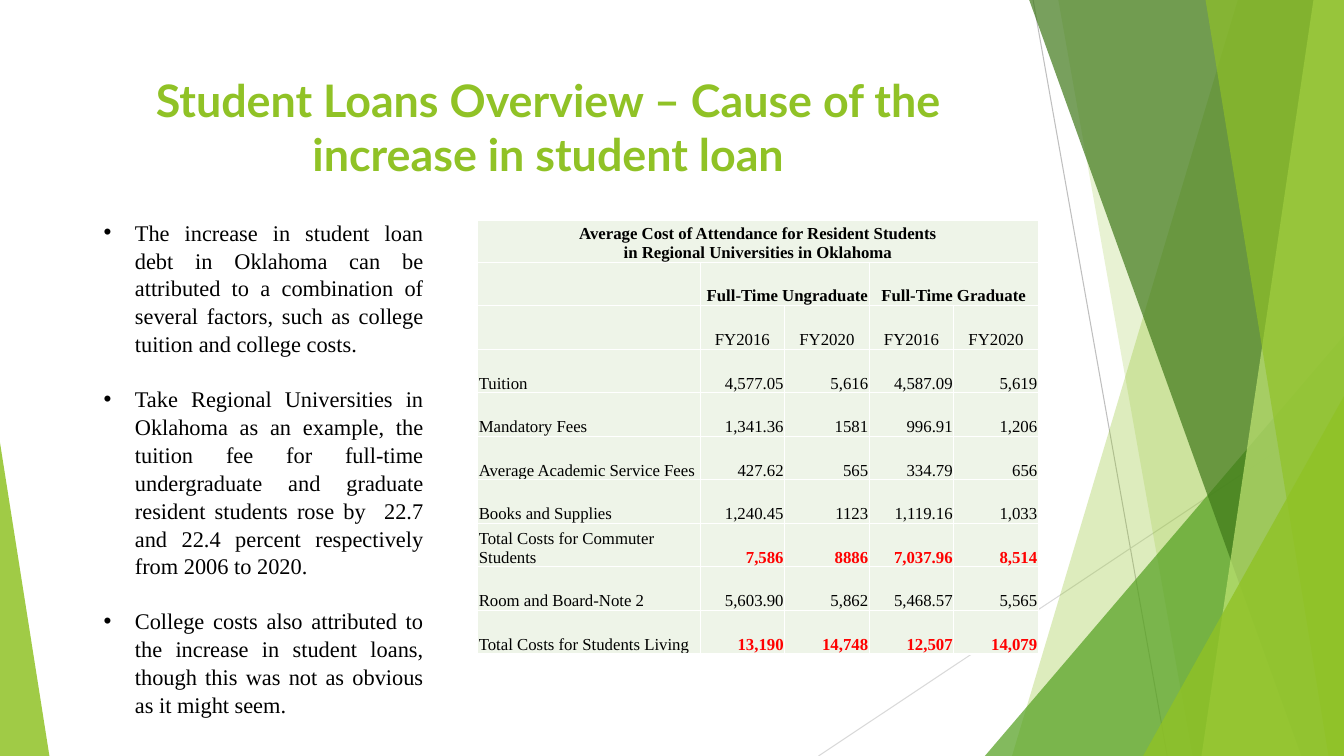
from dataclasses import dataclass

from lxml import etree
from pptx import Presentation, util as u
from pptx.dml.color import RGBColor
from pptx.enum import shapes, text
from pptx.oxml import ns

GREEN = RGBColor(0x90, 0xC2, 0x26)
MID_GREEN = RGBColor(0x54, 0xA0, 0x21)
DARK_GREEN = RGBColor(0x3F, 0x78, 0x19)
LIGHT_GREEN = RGBColor(0xC0, 0xE4, 0x74)
CELL_GREEN = RGBColor(0xEE, 0xF4, 0xE8)
GREY = RGBColor(0xBF, 0xBF, 0xBF)
PALE_GREY = RGBColor(0xD9, 0xD9, 0xD9)
BLACK = RGBColor(0, 0, 0)
RED = RGBColor(0xFF, 0, 0)
SERIF = "Times New Roman"
LEFT, CENTER, RIGHT, JUSTIFY = (text.PP_ALIGN.LEFT, text.PP_ALIGN.CENTER,
                                text.PP_ALIGN.RIGHT, text.PP_ALIGN.JUSTIFY)

# The slide is a grid of 100 columns and 100 rows.
WIDTH, HEIGHT = u.Inches(13.333), u.Inches(7.5)


def col(n: float) -> int:
    return round(WIDTH * n / 100)


def row(n: float) -> int:
    return round(HEIGHT * n / 100)


@dataclass
class Ray:
    start: tuple[float, float]
    end: tuple[float, float]
    color: RGBColor


@dataclass
class Shard:
    """Full-height facet reaching the right edge of the slide."""
    top: float
    foot: float
    color: RGBColor
    opacity: int


@dataclass
class Peak:
    """Right triangle standing on the bottom edge; lean 1 puts its apex right."""
    left: float
    top: float
    width: float
    lean: int
    color: RGBColor
    opacity: int


RAYS = [Ray((76.87, 0), (86.85, 100), GREY),
        Ray((100, 53.73), (60.9, 100), PALE_GREY)]
FACETS = [
    Shard(92.1, 75.3, GREEN, 30),
    Shard(78.75, 88.73, GREEN, 20),
    Peak(73.28, 44.4, 26.72, 1, MID_GREEN, 72),
    Shard(76.58, 96.83, DARK_GREEN, 70),
    Shard(97.73, 89.4, LIGHT_GREEN, 70),
    Shard(89.7, 98.85, GREEN, 65),
    Peak(85.05, 52.4, 14.95, 1, GREEN, 80),
    Peak(0, 58.53, 3.68, 0, GREEN, 85),
]
TITLE = "Student Loans Overview – Cause of the increase in student loan"
CAUSES = [
    "The increase in student loan debt in Oklahoma can be attributed to a "
    "combination of several factors, such as college tuition and college costs.",
    "Take Regional Universities in Oklahoma as an example, the tuition fee for "
    "full-time undergraduate and graduate resident students rose by  22.7 and "
    "22.4 percent respectively from 2006 to 2020.",
    "College costs also attributed to the increase in student loans, though "
    "this was not as obvious as it might seem.",
]
COSTS = [
    ["Average Cost of Attendance for Resident Students\n"
     "in Regional Universities in Oklahoma", "", "", "", ""],
    ["", "Full-Time Ungraduate", "", "Full-Time Graduate", ""],
    ["", "FY2016", "FY2020", "FY2016", "FY2020"],
    ["Tuition", "4,577.05", "5,616", "4,587.09", "5,619"],
    ["Mandatory Fees", "1,341.36", "1581", "996.91", "1,206"],
    ["Average Academic Service Fees", "427.62", "565", "334.79", "656"],
    ["Books and Supplies", "1,240.45", "1123", "1,119.16", "1,033"],
    ["Total Costs for Commuter Students", "7,586", "8886", "7,037.96", "8,514"],
    ["Room and Board-Note 2", "5,603.90", "5,862", "5,468.57", "5,565"],
    ["Total Costs for Students Living", "13,190", "14,748", "12,507", "14,079"],
]
COLUMN_WIDTHS = [16.55] + [6.29] * 4
ROW_HEIGHTS = [5.47] + [5.76] * 9


def draw_ray(slide, ray: Ray) -> None:
    (x1, y1), (x2, y2) = ray.start, ray.end
    line = slide.shapes.add_connector(shapes.MSO_CONNECTOR.STRAIGHT,
                                      col(x1), row(y1), col(x2), row(y2))
    line.line.color.rgb = ray.color
    line.line.width = u.Pt(0.75)
    etree.SubElement(line._element.spPr, ns.qn("a:effectLst"))


def draw_facet(slide, facet: Shard | Peak) -> None:
    if isinstance(facet, Shard):
        pen = slide.shapes.build_freeform(col(facet.top), 0)
        pen.add_line_segments([(col(100), 0), (col(100), row(100)),
                               (col(facet.foot), row(100))])
        sp = pen.convert_to_shape()
    else:
        sp = slide.shapes.add_shape(
            shapes.MSO_SHAPE.ISOSCELES_TRIANGLE, col(facet.left), row(facet.top),
            col(facet.width), row(100 - facet.top))
        sp.adjustments[0] = facet.lean
    sp.shadow.inherit = False
    sp.line.fill.background()
    sp.fill.solid()
    sp.fill.fore_color.rgb = facet.color
    srgb = sp._element.spPr.find(".//" + ns.qn("a:srgbClr"))
    etree.SubElement(srgb, ns.qn("a:alpha"), val=str(facet.opacity * 1000))


def style(p, font: str, size: float, color: RGBColor, align, bold=False) -> None:
    p.alignment = align
    p.font.name, p.font.size, p.font.bold = font, u.Pt(size), bold
    p.font.color.rgb = color


def add_text(slide, x: float, y: float, w: float, h: float, content: str):
    tf = slide.shapes.add_textbox(col(x), row(y), col(w), row(h)).text_frame
    tf.word_wrap = True
    tf.text = content
    return tf


def add_bullet(p) -> None:
    pPr = p._p.get_or_add_pPr()
    pPr.set("marL", str(u.Inches(0.31)))
    pPr.set("indent", str(-u.Inches(0.31)))
    font = etree.Element(ns.qn("a:buFont"), typeface="Arial")
    char = etree.Element(ns.qn("a:buChar"), char="•")
    default = pPr.find(ns.qn("a:defRPr"))
    default.addprevious(font)
    default.addprevious(char)


def add_borders(cell) -> None:
    """Give all four sides a thin white line, placed ahead of the fill."""
    tcPr = cell._tc.get_or_add_tcPr()
    for i, side in enumerate(("lnL", "lnR", "lnT", "lnB")):
        ln = etree.Element(ns.qn(f"a:{side}"), w=str(u.Pt(1)))
        fill = etree.SubElement(ln, ns.qn("a:solidFill"))
        etree.SubElement(fill, ns.qn("a:srgbClr"), val="FFFFFF")
        tcPr.insert(i, ln)


def cell_align(r: int, c: int):
    if r in (0, 2) or (r, c) == (1, 3):
        return CENTER
    return RIGHT if c else LEFT


def add_costs(slide) -> None:
    table = slide.shapes.add_table(
        len(COSTS), len(COLUMN_WIDTHS), col(35.55), row(29.2),
        col(sum(COLUMN_WIDTHS)), row(sum(ROW_HEIGHTS))).table
    table.first_row = table.horz_banding = False
    for column, width in zip(table.columns, COLUMN_WIDTHS):
        column.width = col(width)
    for line, height in zip(table.rows, ROW_HEIGHTS):
        line.height = row(height)
    for r, values in enumerate(COSTS):
        for c, value in enumerate(values):
            cell = table.cell(r, c)
            cell.text = value
            cell.fill.solid()
            cell.fill.fore_color.rgb = CELL_GREEN
            cell.vertical_anchor = text.MSO_ANCHOR.BOTTOM
            cell.margin_left = cell.margin_right = cell.margin_top = u.Inches(0.01)
            cell.margin_bottom = 0
            total = c > 0 and values[0].startswith("Total")
            for p in cell.text_frame.paragraphs:
                style(p, SERIF, 12, RED if total else BLACK,
                      cell_align(r, c), bold=total or r < 2)
            add_borders(cell)
    for r, first, last in ((0, 0, 4), (1, 1, 2), (1, 3, 4)):
        table.cell(r, first).merge(table.cell(r, last))


def main() -> None:
    prs = Presentation()
    prs.slide_width, prs.slide_height = WIDTH, HEIGHT
    slide = prs.slides.add_slide(prs.slide_layouts[6])
    for ray in RAYS:
        draw_ray(slide, ray)
    for facet in FACETS:
        draw_facet(slide, facet)
    title = add_text(slide, 5.55, 8.93, 70.5, 19.2, TITLE)
    style(title.paragraphs[0], "Lato", 32, GREEN, CENTER, bold=True)
    causes = add_text(slide, 6.98, 28.13, 25.27, 66, "\n".join(CAUSES))
    for p in causes.paragraphs:
        style(p, SERIF, 16, BLACK, JUSTIFY)
        p.line_spacing = 1.04
        p.space_after = u.Pt(19)
        add_bullet(p)
    add_costs(slide)
    prs.save("out.pptx")


if __name__ == "__main__":
    main()
